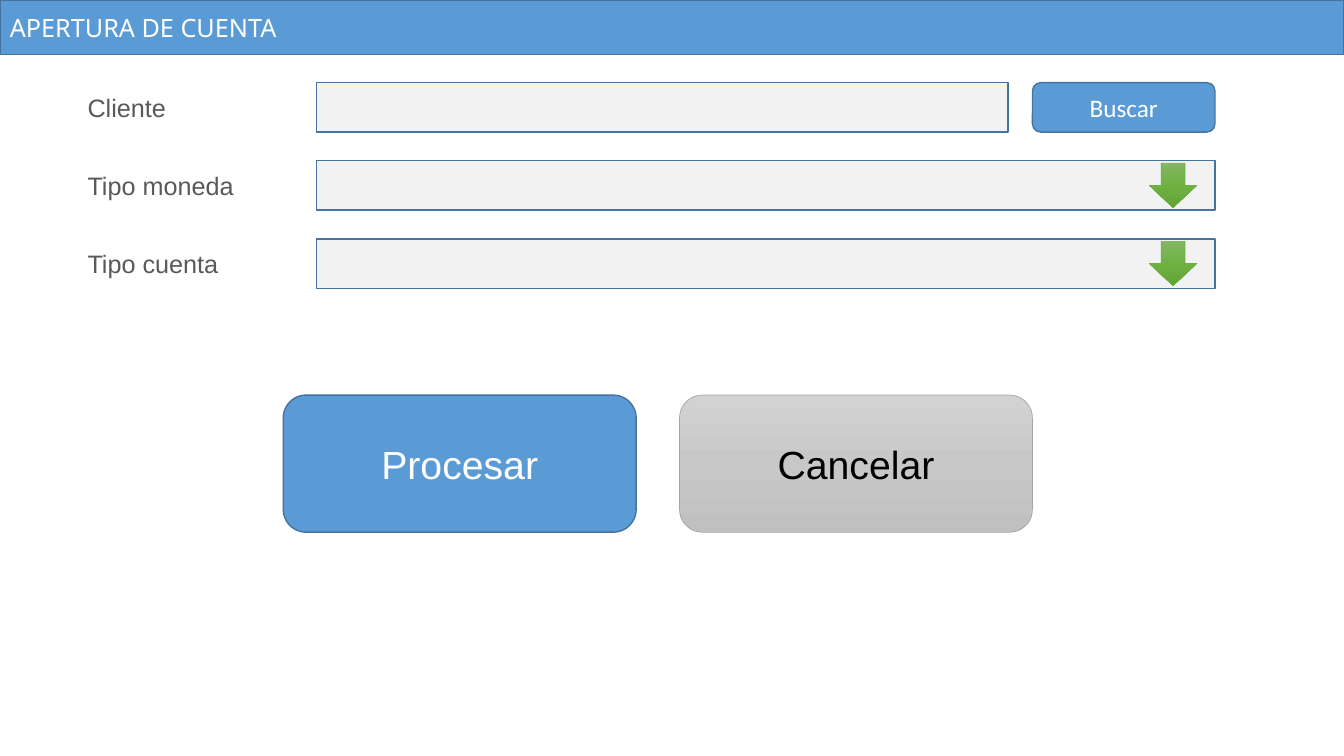
"""Build the account opening form slide."""
from copy import deepcopy
from dataclasses import dataclass

from pptx import Presentation
from pptx.dml.color import RGBColor
from pptx.enum.shapes import MSO_SHAPE
from pptx.enum.text import MSO_ANCHOR, PP_ALIGN
from pptx.oxml.ns import qn
from pptx.util import Inches, Pt

RECTANGLE = MSO_SHAPE.RECTANGLE
ROUNDED = MSO_SHAPE.ROUNDED_RECTANGLE
DOWN_ARROW = MSO_SHAPE.DOWN_ARROW
LEFT, CENTER = PP_ALIGN.LEFT, PP_ALIGN.CENTER
MIDDLE = MSO_ANCHOR.MIDDLE


@dataclass(frozen=True)
class Theme:
    """Colours, fonts and type sizes of the form."""
    blue: tuple = ("5B9BD5",)
    blue_edge: str = "43739E"
    field: tuple = ("F2F2F2",)
    green: tuple = ("81B861", "6FB242", "62A336")
    green_edge: str = "70AD47"
    gray: tuple = ("D2D2D2", "C8C8C8", "C0C0C0")
    gray_edge: str = "A5A5A5"
    label: str = "595959"
    white: str = "FFFFFF"
    black: str = "000000"
    title_font: str = "Noto Sans"
    body_font: str = "Arial"
    button_font: str = "Calibri"
    body_size: int = 18
    action_size: int = 28
    edge_width: float = 1
    thin_edge: float = 0.5


THEME = Theme()
SLIDE_WIDTH, SLIDE_HEIGHT = 13.33, 7.5
LABEL_LEFT, FIELD_LEFT, FORM_RIGHT = 0.77, 3.14, 12.05
FORM_TOP, ROW_PITCH, ROW_HEIGHT = 0.82, 0.775, 0.49
SEARCH_WIDTH, SEARCH_GAP = 1.81, 0.24
ARROW_WIDTH, ARROW_HEIGHT, ARROW_INSET = 0.47, 0.44, 0.18
ACTION_LEFT, ACTION_TOP, ACTION_PITCH = 2.81, 3.92, 3.93
ACTION_WIDTH, ACTION_HEIGHT = 3.5, 1.36


def row_box(row, left, right):
    """Return the box of a form row between two edges."""
    return left, FORM_TOP + row * ROW_PITCH, right - left, ROW_HEIGHT


def paint(shape, colours):
    """Fill a shape with one colour or a downward gradient of several."""
    fill = shape.fill
    if len(colours) == 1:
        fill.solid()
        fill.fore_color.rgb = RGBColor.from_string(colours[0])
        return
    fill.gradient()
    fill.gradient_angle = 270
    stop_list = next(shape.element.iter(qn("a:gsLst")))
    for _ in colours[2:]:
        stop_list.append(deepcopy(stop_list[0]))
    for index, (stop, colour) in enumerate(zip(fill.gradient_stops, colours)):
        stop.position = index / (len(colours) - 1)
        stop.color.rgb = RGBColor.from_string(colour)


def add_block(shapes, kind, box, colours, edge=THEME.blue_edge, width=THEME.edge_width):
    """Add a filled, outlined shape without a shadow."""
    shape = shapes.add_shape(kind, *map(Inches, box))
    shape.shadow.inherit = False
    paint(shape, colours)
    shape.line.color.rgb = RGBColor.from_string(edge)
    shape.line.width = Pt(width)
    return shape


def write(shape, text, colour, font=THEME.body_font, size=THEME.body_size, align=CENTER):
    """Write one vertically centred line into a shape."""
    frame = shape.text_frame
    frame.word_wrap = True
    frame.vertical_anchor = MIDDLE
    paragraph = frame.paragraphs[0]
    paragraph.alignment = align
    run = paragraph.add_run()
    run.text = text
    run.font.name = font
    run.font.size = Pt(size)
    run.font.color.rgb = RGBColor.from_string(colour)


def add_label(shapes, row, text):
    """Add the label of a form row."""
    box = row_box(row, LABEL_LEFT, FIELD_LEFT)
    write(shapes.add_textbox(*map(Inches, box)), text, THEME.label, align=LEFT)


def add_search_row(shapes, row, label, button_text):
    """Add a form row with an input field and a search button."""
    add_label(shapes, row, label)
    button_left = FORM_RIGHT - SEARCH_WIDTH
    add_block(shapes, RECTANGLE, row_box(row, FIELD_LEFT, button_left - SEARCH_GAP), THEME.field)
    button = add_block(shapes, ROUNDED, row_box(row, button_left, FORM_RIGHT), THEME.blue)
    write(button, button_text, THEME.white, THEME.button_font)


def add_dropdown_row(shapes, row, label):
    """Add a form row with a grouped field and drop-down arrow."""
    add_label(shapes, row, label)
    group = shapes.add_group_shape()
    field_box = row_box(row, FIELD_LEFT, FORM_RIGHT)
    add_block(group.shapes, RECTANGLE, field_box, THEME.field)
    arrow_box = (FORM_RIGHT - ARROW_INSET - ARROW_WIDTH,
                 field_box[1] + (ROW_HEIGHT - ARROW_HEIGHT) / 2, ARROW_WIDTH, ARROW_HEIGHT)
    add_block(group.shapes, DOWN_ARROW, arrow_box, THEME.green,
              THEME.green_edge, THEME.thin_edge)


def add_action(shapes, column, text, text_colour, colours, edge, width):
    """Add a large action button in a column below the form."""
    box = ACTION_LEFT + column * ACTION_PITCH, ACTION_TOP, ACTION_WIDTH, ACTION_HEIGHT
    button = add_block(shapes, ROUNDED, box, colours, edge, width)
    write(button, text, text_colour, size=THEME.action_size)


def main():
    """Build and save the slide."""
    presentation = Presentation()
    presentation.slide_width = Inches(SLIDE_WIDTH)
    presentation.slide_height = Inches(SLIDE_HEIGHT)
    slide = presentation.slides.add_slide(presentation.slide_layouts[6])
    shapes = slide.shapes
    title_bar = add_block(shapes, RECTANGLE, (0, 0, SLIDE_WIDTH, 0.54), THEME.blue)
    write(title_bar, "APERTURA DE CUENTA", THEME.white, THEME.title_font, align=LEFT)
    add_search_row(shapes, 0, "Cliente", "Buscar")
    for row, label in enumerate(("Tipo moneda", "Tipo cuenta"), start=1):
        add_dropdown_row(shapes, row, label)
    add_action(shapes, 0, "Procesar", THEME.white, THEME.blue,
               THEME.blue_edge, THEME.edge_width)
    add_action(shapes, 1, "Cancelar", THEME.black, THEME.gray,
               THEME.gray_edge, THEME.thin_edge)
    presentation.save("out.pptx")


main()
